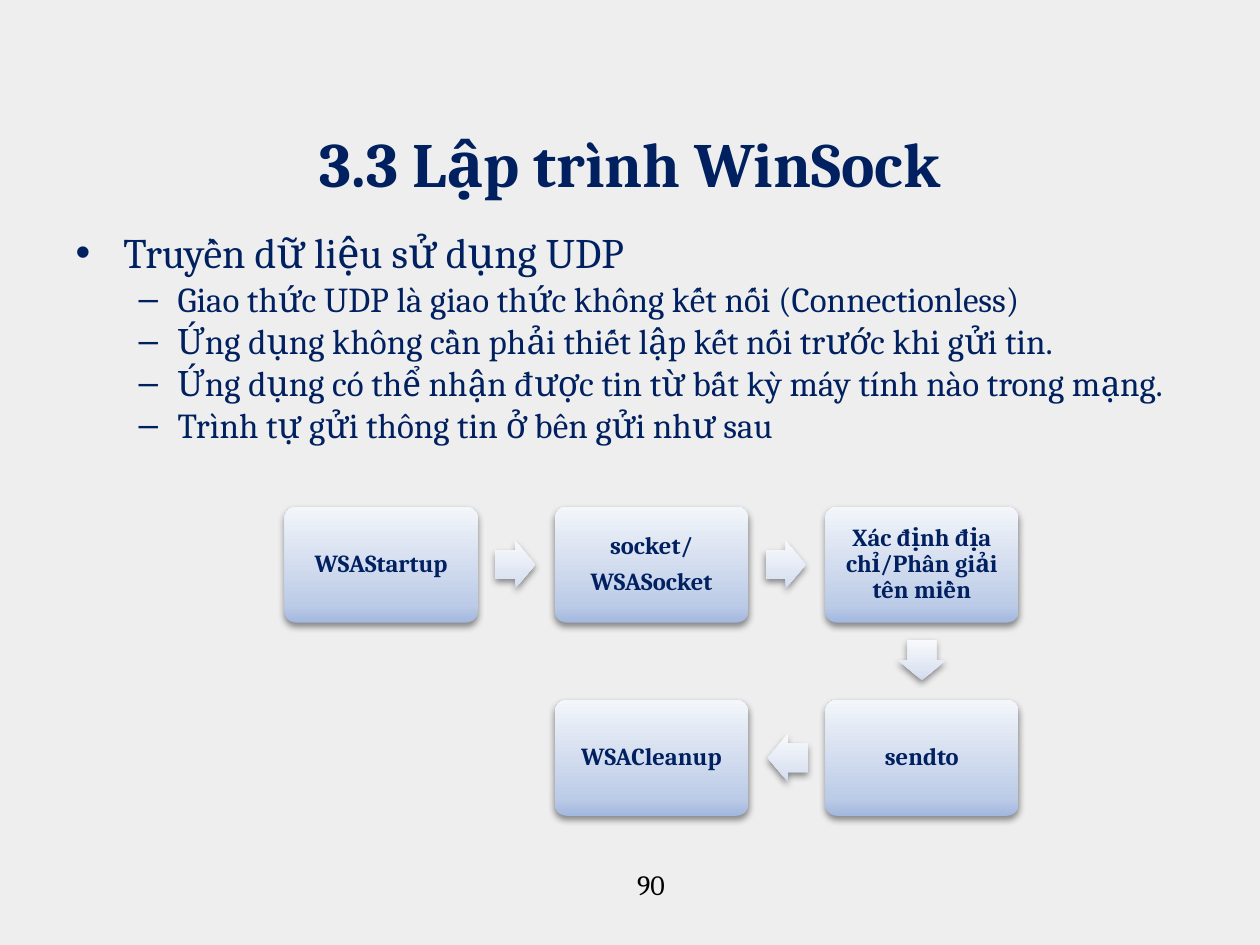
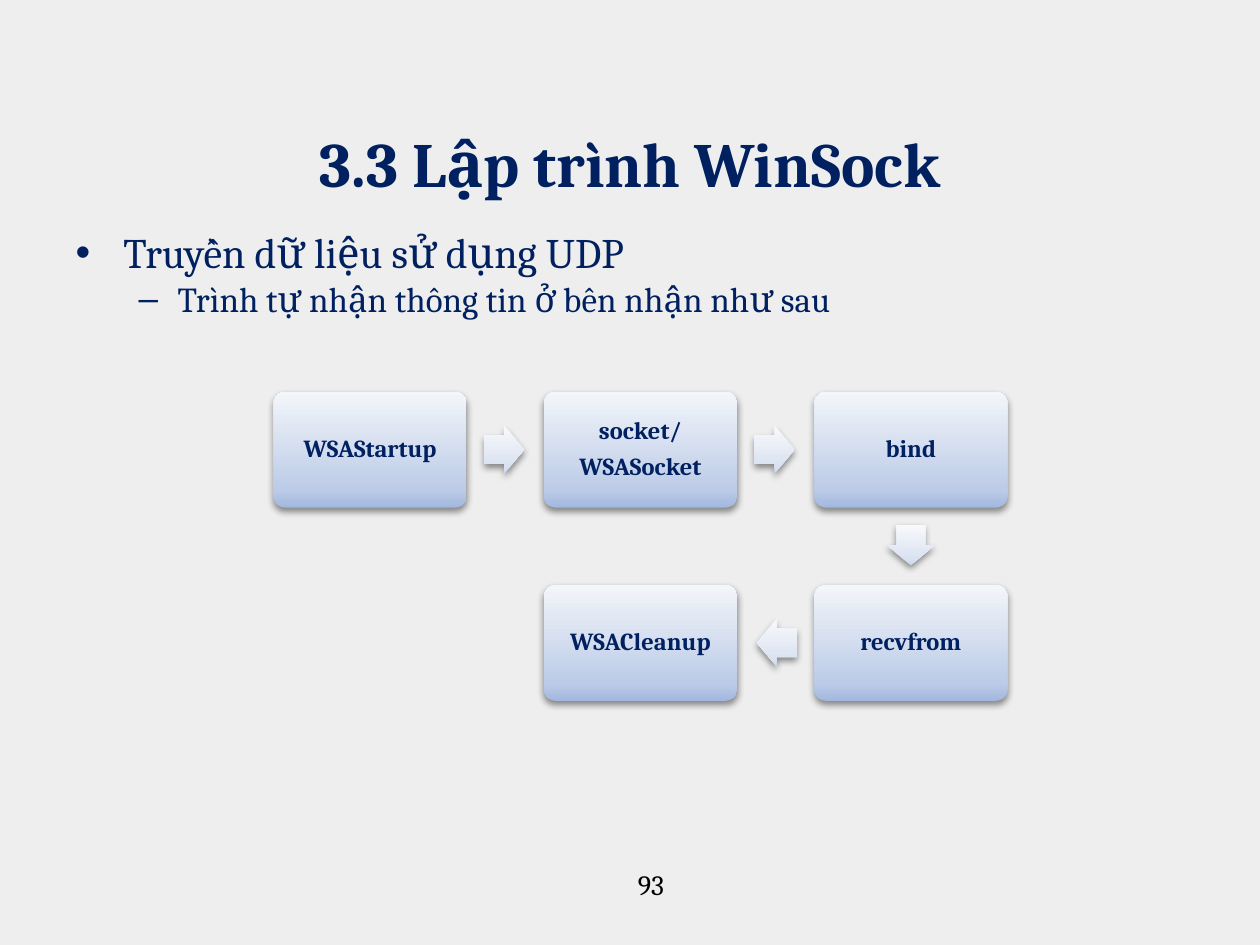
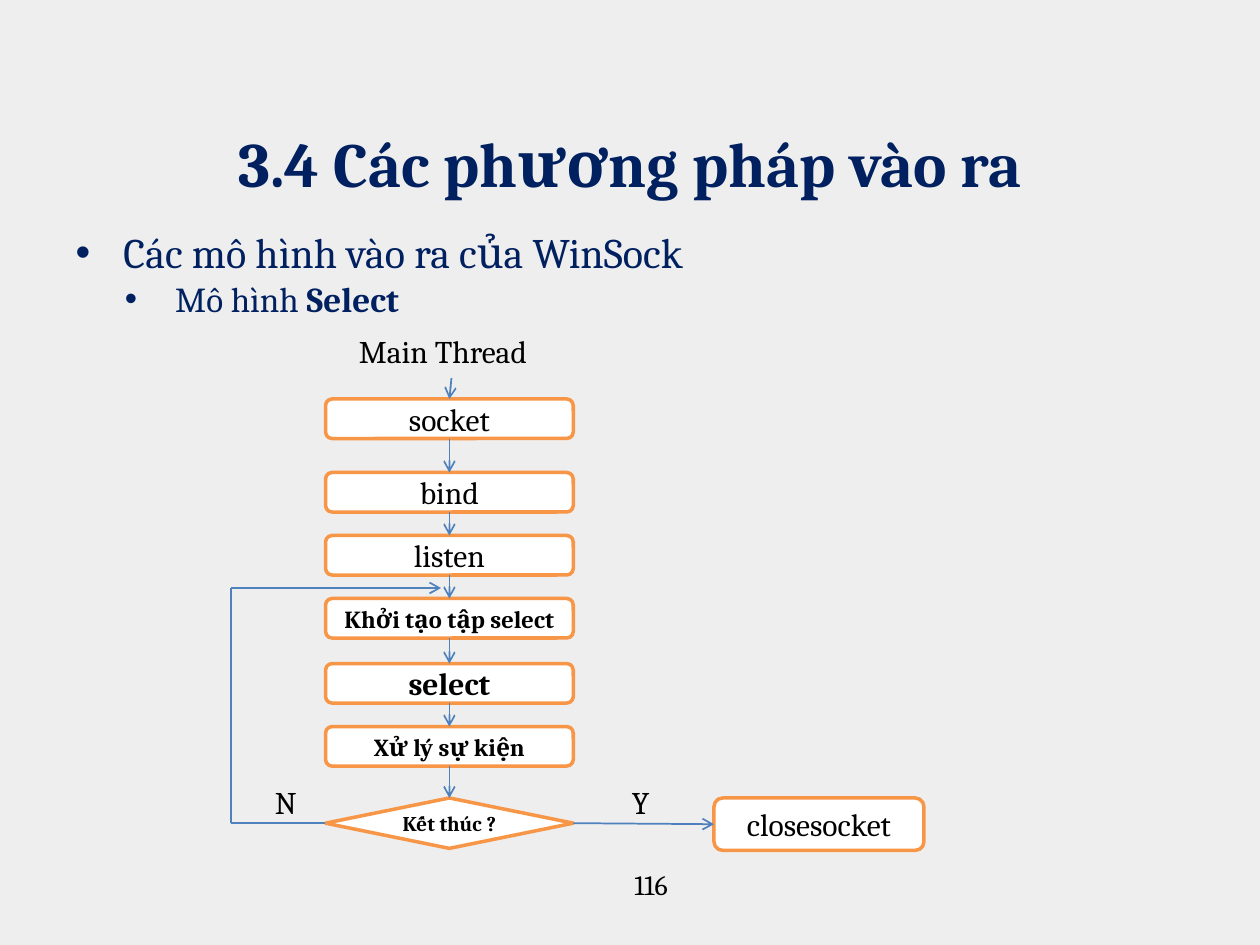
from dataclasses import dataclass

from lxml.etree import SubElement
from pptx import Presentation
from pptx.dml.color import RGBColor
from pptx.enum.shapes import MSO_CONNECTOR, MSO_SHAPE
from pptx.enum.text import MSO_ANCHOR, MSO_AUTO_SIZE, PP_ALIGN
from pptx.oxml import parse_xml
from pptx.oxml.ns import nsdecls, qn
from pptx.util import Emu, Inches, Pt

COLUMNS, ROWS = 120, 90
TOP, LEFT, BOTTOM, RIGHT = range(4)  # connection sites


@dataclass(frozen=True)
class Theme:
    font: str = "Cambria"
    background: str = "EEEEEE"
    heading: str = "002060"
    text: str = "000000"
    node_fill: str = "FFFFFF"
    node_line: str = "F79646"
    connector: str = "4F81BD"
    step_gradient: tuple = ((0, "A3B8DF"), (15, "BCCBE7"), (100, "F3F6FA"))
    arrow_gradient: tuple = ((0, "CED8EC"), (15, "DAE2F1"), (100, "F8F9FC"))
    title_size: int = 36
    bullet_size: int = 24
    sub_bullet_size: int = 20
    node_size: int = 18
    number_size: int = 16
    step_size: int = 14
    decision_size: int = 12


@dataclass(frozen=True)
class Bullet:
    level: int
    symbol: str
    margin: float
    hanging: float
    size: int


THEME = Theme()
MAIN = Bullet(0, "•", 0.38, 0.38, THEME.bullet_size)
DASH = Bullet(1, "–", 0.81, 0.31, THEME.sub_bullet_size)
DOT = Bullet(2, "•", 0.79, 0.4, THEME.sub_bullet_size)


class Deck:
    """Holds the theme and the current slide; lengths are grid columns and rows."""

    def __init__(self, theme):
        self.theme = theme
        self.presentation = Presentation()
        self.presentation.slide_width = Inches(10)
        self.presentation.slide_height = Inches(7.5)
        fill = self.presentation.slide_master.background.fill
        fill.solid()
        fill.fore_color.rgb = RGBColor.from_string(theme.background)
        self.slide = None

    def across(self, columns):
        return Emu(round(self.presentation.slide_width * columns / COLUMNS))

    def down(self, rows):
        return Emu(round(self.presentation.slide_height * rows / ROWS))

    def box(self, left, top, width, height):
        return self.across(left), self.down(top), self.across(width), self.down(height)

    def place(self, shape, *area):
        shape.left, shape.top, shape.width, shape.height = self.box(*area)

    def add_run(self, paragraph, text, size, color, bold=False):
        run = paragraph.add_run()
        run.text = text
        run.font.name = self.theme.font
        run.font.size = Pt(size)
        run.font.bold = bold
        run.font.color.rgb = RGBColor.from_string(color)

    def add_slide(self, title, number, bullets, body_height=62):
        """bullets: pairs of a Bullet and its runs, each run a (text, bold) pair."""
        layout = self.presentation.slide_layouts[1]
        self.slide = self.presentation.slides.add_slide(layout)
        self.add_title(title)
        self.add_bullets(bullets, body_height)
        self.add_text(str(number), (10, 82, 104, 6.2), self.theme.number_size, PP_ALIGN.CENTER)

    def add_title(self, text):
        shape = self.slide.shapes.title
        self.place(shape, 6, 4.7, 108, 15)
        frame = shape.text_frame
        frame.auto_size = MSO_AUTO_SIZE.NONE
        frame.vertical_anchor = MSO_ANCHOR.BOTTOM
        paragraph = frame.paragraphs[0]
        paragraph.alignment = PP_ALIGN.CENTER
        self.add_run(paragraph, text, self.theme.title_size, self.theme.heading, True)

    def add_bullets(self, bullets, height):
        shape = self.slide.placeholders[1]
        self.place(shape, 6, 21, 108, height)
        frame = shape.text_frame
        frame.auto_size = MSO_AUTO_SIZE.NONE
        for index, (bullet, runs) in enumerate(bullets):
            paragraph = frame.add_paragraph() if index else frame.paragraphs[0]
            paragraph.level = bullet.level
            paragraph.space_before = Pt(0)
            properties = paragraph._p.get_or_add_pPr()
            properties.set("marL", str(Inches(bullet.margin)))
            properties.set("indent", str(-Inches(bullet.hanging)))
            SubElement(properties, qn("a:buChar"), char=bullet.symbol)
            for text, bold in runs:
                self.add_run(paragraph, text, bullet.size, self.theme.heading, bold)

    def add_text(self, text, area, size, alignment=PP_ALIGN.LEFT):
        frame = self.slide.shapes.add_textbox(*self.box(*area)).text_frame
        frame.word_wrap = True
        paragraph = frame.paragraphs[0]
        paragraph.alignment = alignment
        self.add_run(paragraph, text, size, self.theme.text)

    def add_shape(self, kind, area, lines=(), size=0, color="", bold=False, margin=0):
        shape = self.slide.shapes.add_shape(kind, *self.box(*area))
        shape.shadow.inherit = False
        frame = shape.text_frame
        frame.vertical_anchor = MSO_ANCHOR.MIDDLE
        frame.margin_left = frame.margin_right = Inches(margin)
        frame.margin_top = frame.margin_bottom = Inches(margin)
        for index, line in enumerate(lines):
            paragraph = frame.add_paragraph() if index else frame.paragraphs[0]
            paragraph.alignment = PP_ALIGN.CENTER
            self.add_run(paragraph, line, size, color, bold)
        return shape

    def add_gloss(self, shape, gradient):
        """Give a shape an upward gradient and a soft shadow, without an outline."""
        shape.line.fill.background()
        stops = "".join(
            f'<a:gs pos="{position * 1000}"><a:srgbClr val="{color}"/></a:gs>'
            for position, color in gradient)
        properties = shape._element.spPr
        properties.find(qn("a:prstGeom")).addnext(parse_xml(
            f'<a:gradFill {nsdecls("a")} rotWithShape="0"><a:gsLst>{stops}</a:gsLst>'
            '<a:lin ang="16200000" scaled="0"/></a:gradFill>'))
        properties.find(qn("a:effectLst")).append(parse_xml(
            f'<a:outerShdw {nsdecls("a")} blurRad="{Pt(4)}" dist="{Pt(2)}" dir="5400000" '
            'rotWithShape="0"><a:srgbClr val="000000"><a:alpha val="43000"/>'
            '</a:srgbClr></a:outerShdw>'))

    def add_step(self, lines, area):
        shape = self.add_shape(MSO_SHAPE.ROUNDED_RECTANGLE, area, lines,
                               self.theme.step_size, self.theme.heading, True, 0.06)
        shape.adjustments[0] = 0.1
        for paragraph in shape.text_frame.paragraphs:
            paragraph.line_spacing = 0.9
            paragraph.space_after = Pt(5)
        self.add_gloss(shape, self.theme.step_gradient)

    def add_block_arrow(self, center_x, center_y, rotation):
        width, height = 3.84, 4.56
        area = (center_x - width / 2, center_y - height / 2, width, height)
        shape = self.add_shape(MSO_SHAPE.RIGHT_ARROW, area)
        shape.adjustments[0], shape.adjustments[1] = 0.6, 0.5
        shape.rotation = rotation
        self.add_gloss(shape, self.theme.arrow_gradient)

    def add_snake(self, left, top, steps):
        """Five steps: three to the right, one down, one back to the left."""
        width, height, pitch_x, pitch_y = 18.4, 11.04, 25.75, 18.4
        cells = ((0, 0), (1, 0), (2, 0), (2, 1), (1, 1))
        rotations = {(1, 0): 0, (0, 1): 90, (-1, 0): 180}
        for index, (lines, (column, row)) in enumerate(zip(steps, cells)):
            step_left, step_top = left + column * pitch_x, top + row * pitch_y
            self.add_step(lines, (step_left, step_top, width, height))
            if index + 1 < len(cells):
                next_column, next_row = cells[index + 1]
                move_x, move_y = next_column - column, next_row - row
                self.add_block_arrow(
                    step_left + width / 2 + move_x * (pitch_x / 2 - 0.1),
                    step_top + height / 2 + move_y * (pitch_y / 2 - 0.1),
                    rotations[move_x, move_y])

    def add_node(self, text, area, size, bold=False, kind=MSO_SHAPE.ROUNDED_RECTANGLE):
        shape = self.add_shape(kind, area, [text], size, self.theme.text, bold)
        shape.fill.solid()
        shape.fill.fore_color.rgb = RGBColor.from_string(self.theme.node_fill)
        shape.line.color.rgb = RGBColor.from_string(self.theme.node_line)
        shape.line.width = Pt(2)
        return shape

    def add_line(self, start, end, arrow=True):
        """Each end is a (column, row) point or a (shape, site) pair."""
        points = [(0, 0) if hasattr(place[0], "shape_id") else
                  (self.across(place[0]), self.down(place[1])) for place in (start, end)]
        connector = self.slide.shapes.add_connector(
            MSO_CONNECTOR.STRAIGHT, *points[0], *points[1])
        for place, attach in ((start, connector.begin_connect), (end, connector.end_connect)):
            if hasattr(place[0], "shape_id"):
                attach(*place)
        connector.line.color.rgb = RGBColor.from_string(self.theme.connector)
        connector.line.width = Pt(1)
        if arrow:
            SubElement(connector.line._get_or_add_ln(), qn("a:tailEnd"), type="arrow")
        SubElement(connector._element.spPr, qn("a:effectLst"))


def plain(bullet, text):
    return bullet, [(text, False)]


def add_udp_slides(deck):
    title = "3.3 Lập trình WinSock"
    topic = plain(MAIN, "Truyền dữ liệu sử dụng UDP")
    opening = [["WSAStartup"], ["socket/", "WSASocket"]]
    closing = ["WSACleanup"]

    # Sender
    sender_points = (
        "Giao thức UDP là giao thức không kết nối (Connectionless)",
        "Ứng dụng không cần phải thiết lập kết nối trước khi gửi tin.",
        "Ứng dụng có thể nhận được tin từ bất kỳ máy tính nào trong mạng.",
        "Trình tự gửi thông tin ở bên gửi như sau",
    )
    deck.add_slide(title, 90, [topic, *(plain(DASH, point) for point in sender_points)])
    deck.add_snake(27.1, 48.25, [
        *opening, ["Xác định địa chỉ/Phân giải tên miền"], ["sendto"], closing])

    # Receiver
    deck.add_slide(title, 93, [
        topic, plain(DASH, "Trình tự nhận thông tin ở bên nhận như sau")])
    deck.add_snake(26.05, 37.3, [*opening, ["bind"], ["recvfrom"], closing])


def add_select_slide(deck):
    theme = deck.theme
    deck.add_slide("3.4 Các phương pháp vào ra", 116, [
        plain(MAIN, "Các mô hình vào ra của WinSock"),
        (DOT, [("Mô hình ", False), ("Select", True)]),
    ], 59.4)

    # Main column of the flowchart
    left, width, height = 31, 23.6, 3.77
    stages = (
        ("socket", 38, theme.node_size, False),
        ("bind", 45, theme.node_size, False),
        ("listen", 51, theme.node_size, False),
        ("Khởi tạo tập select", 57, theme.step_size, True),
        ("select", 63.2, theme.node_size, True),
        ("Xử lý sự kiện", 69.2, theme.step_size, True),
    )
    nodes = [deck.add_node(text, (left, top, width, height), size, bold)
             for text, top, size, bold in stages]
    decision = deck.add_node("Kết thúc ?", (left, 76, width, 4.8), theme.decision_size,
                             True, MSO_SHAPE.DIAMOND)
    nodes.append(decision)
    deck.add_line((43, 36), (nodes[0], TOP))
    for node, following in zip(nodes, nodes[1:]):
        deck.add_line((node, BOTTOM), (following, TOP))

    # Loop back when not finished
    deck.add_line((decision, LEFT), (22, 78.4), arrow=False)
    deck.add_line((22, 78.4), (22, 56), arrow=False)
    deck.add_line((22, 56), (42, 56))

    # Exit when finished
    close = deck.add_node("closesocket", (68, 76, 20, 5), theme.node_size)
    deck.add_line((decision, RIGHT), (close, LEFT))

    # Labels
    for text, column, row, label_width in (
            ("Main Thread", 33, 31, 26), ("N", 25, 74, 6), ("Y", 59, 74, 6)):
        deck.add_text(text, (column, row, label_width, 4.85), theme.node_size)


def main():
    deck = Deck(THEME)
    add_udp_slides(deck)
    add_select_slide(deck)
    deck.presentation.save("out.pptx")


if __name__ == "__main__":
    main()
